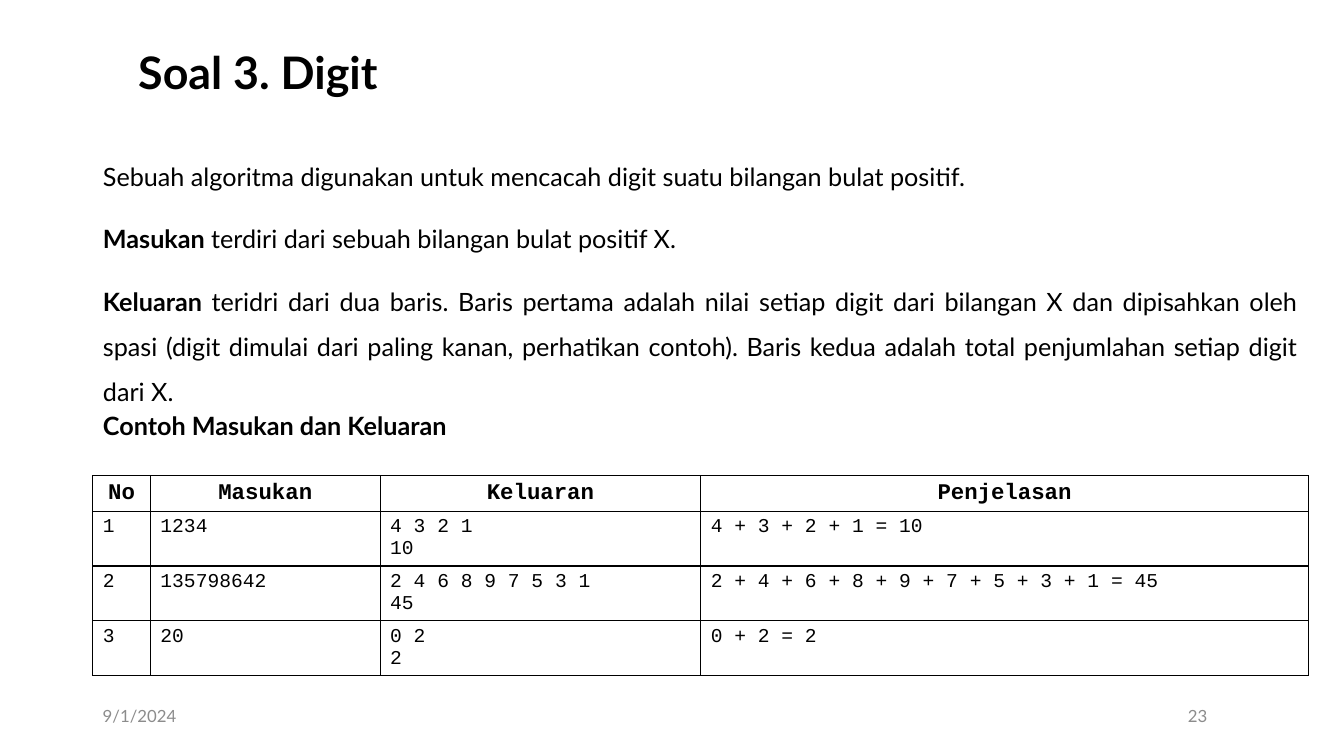
from lxml.etree import SubElement
from pptx import Presentation
from pptx.dml.color import RGBColor
from pptx.enum.text import MSO_ANCHOR, MSO_AUTO_SIZE, PP_ALIGN
from pptx.oxml import parse_xml
from pptx.oxml.ns import nsdecls, qn
from pptx.util import Cm, Pt

COLORS = {"ink": "000000", "muted": "8C8C8C"}
TEXT_FONT, CODE_FONT = "Lato", "Courier New"
LEFT, WIDTH = 2.34, 30.63

INTRO = [
    [("Sebuah algoritma digunakan untuk mencacah digit suatu bilangan bulat positif.", False)],
    [("Masukan ", True), ("terdiri dari sebuah bilangan bulat positif X.", False)],
    [("Keluaran ", True),
     ("teridri dari dua baris. Baris pertama adalah nilai setiap digit dari bilangan X dan "
      "dipisahkan oleh spasi (digit dimulai dari paling kanan, perhatikan contoh). "
      "Baris kedua adalah total penjumlahan setiap digit dari X.", False)],
]
EXAMPLE_HEADING = [[("Contoh Masukan dan Keluaran", True)]]
EXAMPLES = [
    ["No", "Masukan", "Keluaran", "Penjelasan"],
    ["1", "1234", "4 3 2 1\n10", "4 + 3 + 2 + 1 = 10"],
    ["2", "135798642", "2 4 6 8 9 7 5 3 1\n45", "2 + 4 + 6 + 8 + 9 + 7 + 5 + 3 + 1 = 45"],
    ["3", "20", "0 2\n2", "0 + 2 = 2"],
]


class ProblemSlide:
    def __init__(self, deck):
        self.page = deck.slides.add_slide(deck.slide_layouts[3])

    def span(self, para, text, size, bold=False, color="ink", font=TEXT_FONT):
        span = para.add_run()
        span.text = text
        span.font.name = font
        span.font.size = Pt(size)
        span.font.bold = bold
        span.font.color.rgb = RGBColor.from_string(COLORS[color])

    def place(self, box, left, top, width, height, anchor):
        box.left, box.top, box.width, box.height = map(Cm, (left, top, width, height))
        frame = box.text_frame
        frame.word_wrap = True
        frame.auto_size = MSO_AUTO_SIZE.NONE
        frame.vertical_anchor = anchor
        return frame

    def title(self, text):
        frame = self.place(self.page.shapes.title, 3.23, 1.02, 25, 1.73, MSO_ANCHOR.MIDDLE)
        para = frame.paragraphs[0]
        para.alignment = PP_ALIGN.LEFT
        para.line_spacing = 0.9
        self.span(para, text, 32, bold=True)

    def body(self, index, paragraphs, top, height):
        box = self.page.placeholders[index]
        frame = self.place(box, LEFT, top, WIDTH, height, MSO_ANCHOR.TOP)
        for number, spans in enumerate(paragraphs):
            para = frame.add_paragraph() if number else frame.paragraphs[0]
            para.alignment = PP_ALIGN.JUSTIFY
            para.line_spacing = 1.5
            para.space_before = para.space_after = Pt(6)
            properties = para._p.get_or_add_pPr()
            properties.set("marL", "0")
            properties.set("indent", "0")
            SubElement(properties, qn("a:buNone"))
            for text, bold in spans:
                self.span(para, text, 18, bold)

    def footer(self, text, left, width, alignment):
        box = self.page.shapes.add_textbox(0, 0, 0, 0)
        frame = self.place(box, left, 17.53, width, 1.02, MSO_ANCHOR.MIDDLE)
        para = frame.paragraphs[0]
        para.alignment = alignment
        self.span(para, text, 12, color="muted")

    def border(self, cell):
        properties = cell._tc.get_or_add_tcPr()
        for position, side in enumerate(("lnL", "lnR", "lnT", "lnB")):
            properties.insert(position, parse_xml(
                f'<a:{side} {nsdecls("a")} w="{Pt(1)}"><a:solidFill>'
                f'<a:srgbClr val="{COLORS["ink"]}"/></a:solidFill></a:{side}>'))

    def table(self, rows, top, column_widths, row_heights):
        table = self.page.shapes.add_table(
            len(rows), len(column_widths), Cm(LEFT), Cm(top),
            Cm(WIDTH), Cm(sum(row_heights))).table
        table.first_row = table.horz_banding = False
        for column, width in zip(table.columns, column_widths):
            column.width = Cm(width)
        for row_index, (row, height) in enumerate(zip(rows, row_heights)):
            table.rows[row_index].height = Cm(height)
            header = row_index == 0
            for column_index, text in enumerate(row):
                cell = table.cell(row_index, column_index)
                cell.fill.background()
                self.border(cell)
                for number, line in enumerate(text.split("\n")):
                    frame = cell.text_frame
                    para = frame.add_paragraph() if number else frame.paragraphs[0]
                    para.alignment = PP_ALIGN.CENTER if header else PP_ALIGN.LEFT
                    self.span(para, line, 16 if header else 14, header, font=CODE_FONT)


def main():
    deck = Presentation()
    deck.slide_width, deck.slide_height = Cm(33.87), Cm(19.05)
    slide = ProblemSlide(deck)
    slide.title("Soal 3. Digit")
    slide.body(1, INTRO, 3.56, 5.97)
    slide.body(2, EXAMPLE_HEADING, 9.83, 1.32)
    slide.footer("9/1/2024", LEFT, 3.73, PP_ALIGN.LEFT)
    slide.footer("23", 6.17, 24.51, PP_ALIGN.RIGHT)
    slide.table(EXAMPLES, 11.99, [1.45, 5.79, 8.08, 15.31], [0.89, 1.38, 1.38, 1.38])
    deck.save("out.pptx")


if __name__ == "__main__":
    main()
